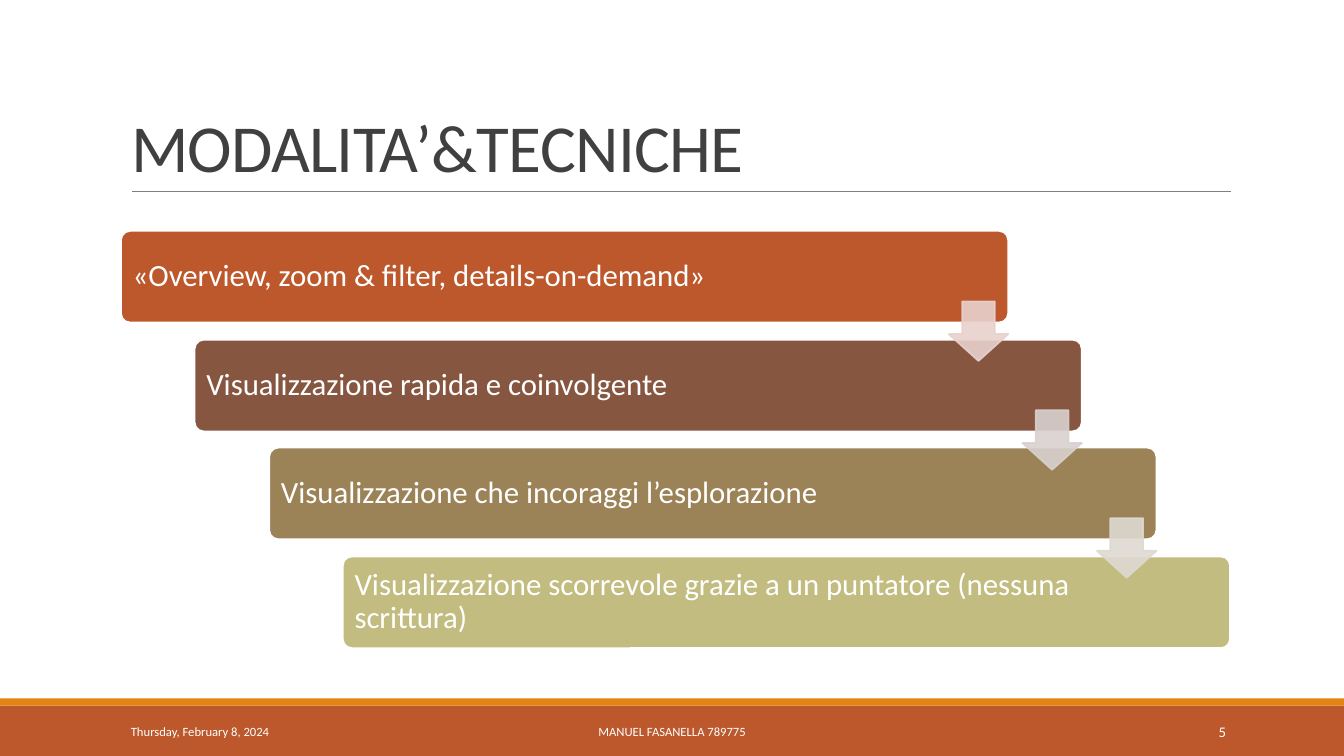
from lxml import etree
from pptx import Presentation
from pptx import util as u
from pptx.dml.color import RGBColor
from pptx.enum import shapes, text
from pptx.oxml.ns import qn

PX = 9144  # EMU; 100 px to the inch
FONT = "Calibri"
WHITE = "FFFFFF"

STEPS = [
    ("«Overview, zoom & filter, details-on-demand»", "BD582C"),
    ("Visualizzazione rapida e coinvolgente", "865640"),
    ("Visualizzazione che incoraggi l’esplorazione", "9B8357"),
    ("Visualizzazione scorrevole grazie a un puntatore (nessuna scrittura)", "C2BC80"),
]
ARROW_COLORS = ["E8D1CD", "D9D1CF", "DED9D1"]
STEP_X, STEP_Y = 73.3, 107.7


def px(*lengths):
    return [u.Emu(length * PX) for length in lengths]


def color(hex_code):
    return RGBColor.from_string(hex_code)


def stair(left, top, index):
    """Place of the item at this step of the descending staircase."""
    return left + round(index * STEP_X), top + round(index * STEP_Y)


def set_alpha(fill_parent, percent):
    for srgb in fill_parent.iter(qn("a:srgbClr")):
        etree.SubElement(srgb, qn("a:alpha")).set("val", str(percent * 1000))


def write(frame, words, size, hex_code, align=text.PP_ALIGN.LEFT,
          anchor=text.MSO_ANCHOR.MIDDLE, spacing=None):
    frame.word_wrap = True
    frame.auto_size = text.MSO_AUTO_SIZE.NONE
    frame.vertical_anchor = anchor
    paragraph = frame.paragraphs[0]
    paragraph.alignment = align
    if spacing:
        paragraph.line_spacing = spacing
    run = paragraph.add_run()
    run.text = words
    run.font.size = u.Pt(size)
    run.font.name = FONT
    run.font.color.rgb = color(hex_code)
    return run


def add_block(slide, preset, box, fill, line=None, adjustments=()):
    block = slide.shapes.add_shape(preset, *px(*box))
    block.shadow.inherit = False
    block.fill.solid()
    block.fill.fore_color.rgb = color(fill)
    if line:
        block.line.color.rgb = color(line)
        block.line.width = u.Pt(1.25)
    else:
        block.line.fill.background()
    for i, value in enumerate(adjustments):
        block.adjustments[i] = value
    return block


def add_title(slide, words):
    title = slide.shapes.title
    title.left, title.top, title.width, title.height = px(120, 31, 1100, 159)
    run = write(title.text_frame, words, 48, "404040",
                anchor=text.MSO_ANCHOR.BOTTOM, spacing=0.85)
    run.font._element.set("spc", "-50")


def add_rule(slide):
    rule = slide.shapes.add_connector(
        shapes.MSO_CONNECTOR.STRAIGHT, *px(131, 190, 1221, 190))
    rule.line.color.rgb = color("808080")
    rule.line.width = u.Pt(0.5)
    etree.SubElement(rule._element.spPr, qn("a:effectLst"))


def add_step(slide, index, words, fill):
    bar = add_block(slide, shapes.MSO_SHAPE.ROUNDED_RECTANGLE,
                    (*stair(120, 229, index), 880, 91), fill, WHITE, [0.1])
    frame = bar.text_frame
    # The wide right margin keeps the words clear of the arrows
    (frame.margin_left, frame.margin_top,
     frame.margin_right, frame.margin_bottom) = px(9, 9, 141, 9)
    write(frame, words, 22, WHITE, spacing=0.9)


def add_arrow(slide, index, fill):
    arrow = add_block(slide, shapes.MSO_SHAPE.DOWN_ARROW,
                      (*stair(941, 299, index), 59, 59), fill, fill, [0.45, 0.55])
    arrow.adjustments[0], arrow.adjustments[1] = 0.55, 0.45
    set_alpha(arrow._element.spPr, 90)


def add_footer_text(slide, left, width, words, size, align):
    footer = slide.shapes.add_textbox(*px(left, 706, width, 40))
    write(footer.text_frame, words, size, WHITE, align)


def main():
    deck = Presentation()
    deck.slide_width, deck.slide_height = px(1333, 750)
    slide = deck.slides.add_slide(deck.slide_layouts[5])

    add_block(slide, shapes.MSO_SHAPE.RECTANGLE, (0, 700, 1333, 50), "BD582C")
    add_block(slide, shapes.MSO_SHAPE.RECTANGLE, (0, 693, 1333, 7), "E48312")
    add_rule(slide)
    add_title(slide, "MODALITA’&TECNICHE")

    for index, (words, fill) in enumerate(STEPS):
        add_step(slide, index, words, fill)
    for index, fill in enumerate(ARROW_COLORS):
        add_arrow(slide, index, fill)

    align = text.PP_ALIGN
    add_footer_text(slide, 120, 270, "Thursday, February 8, 2024", 9, align.LEFT)
    add_footer_text(slide, 403, 527, "MANUEL FASANELLA 789775", 9, align.CENTER)
    add_footer_text(slide, 1083, 143, "5", 10.5, align.RIGHT)

    deck.save("out.pptx")


if __name__ == "__main__":
    main()
